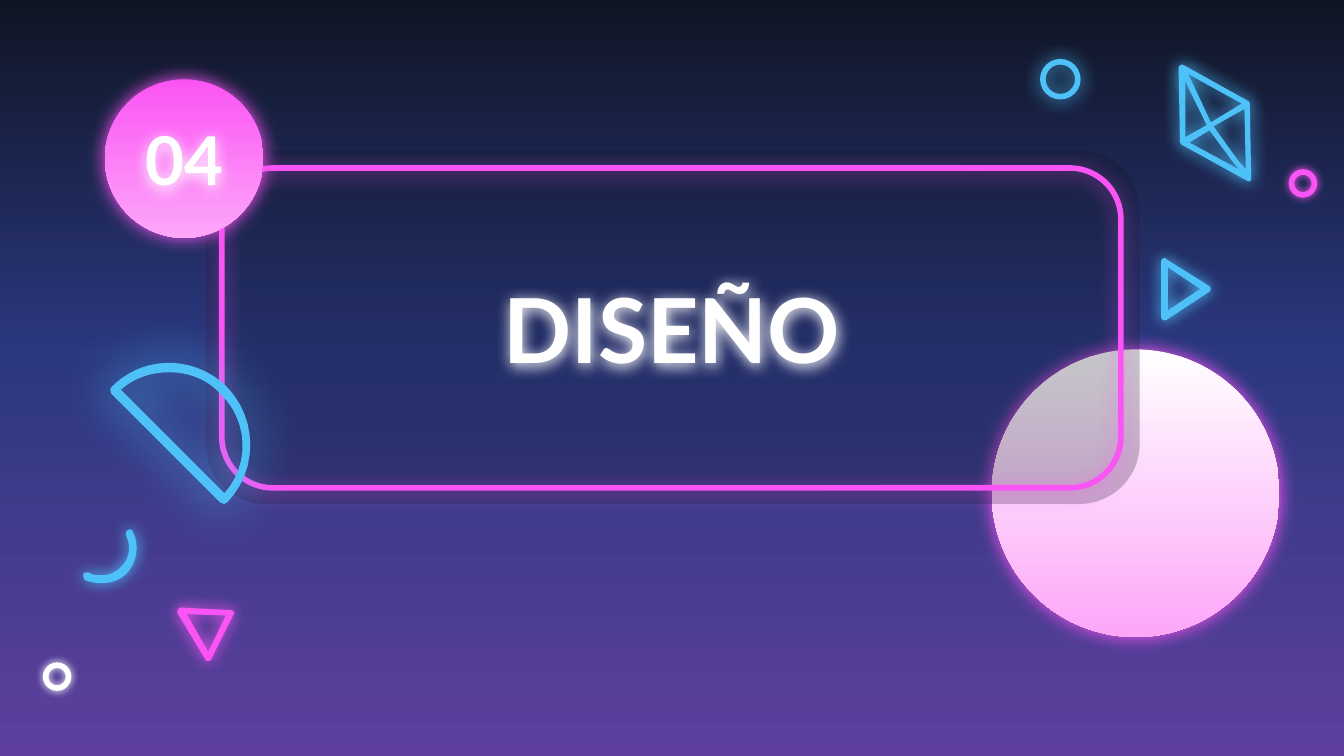
"""Build the neon section slide "04 DISEÑO" on a grid of 1000 columns by 562.5 rows."""
from dataclasses import dataclass
from math import cos, radians, sin

from lxml import etree
from pptx import Presentation
from pptx.dml.color import RGBColor
from pptx.enum.shapes import MSO_SHAPE
from pptx.enum.text import MSO_ANCHOR, PP_ALIGN
from pptx.oxml.ns import qn
from pptx.util import Inches, Pt

ELLIPSE, ROUNDED = MSO_SHAPE.OVAL, MSO_SHAPE.ROUNDED_RECTANGLE
CENTER, MIDDLE = PP_ALIGN.CENTER, MSO_ANCHOR.MIDDLE
COLUMNS, ROWS = 1000, 562.5
CELL = Inches(10) / COLUMNS
CURVE_STEPS = 12
COLORS = {
    "night": "0F1524", "navy": "2B3880", "violet": "5F3F9E",
    "pink": "FB54F4", "blush": "FDA7F9", "sky": "4FC1F9", "white": "FFFFFF",
}

Point = tuple[float, float]
Stops = tuple[tuple[int, str], ...]


@dataclass(frozen=True)
class Glow:
    color: str
    blur: float
    distance: float = 0
    opacity: int = 100


@dataclass(frozen=True)
class Block:
    kind: MSO_SHAPE
    box: tuple[float, float, float, float]
    gradient: Stops = ()
    fill: str = ""
    opacity: int = 100
    line: str = ""
    corner: float = 0
    glow: Glow | None = None


@dataclass(frozen=True)
class Outline:
    """Contours of points (x, y) and cubic curves (two controls and an end)."""
    color: str
    blur: float
    contours: tuple[tuple[tuple[float, ...], ...], ...]
    turn: float = 0


BACKDROP: Stops = ((0, "night"), (47, "navy"), (100, "violet"))
MOON = Block(ELLIPSE, (738, 260, 214, 214), glow=Glow("pink", 10.1),
             gradient=((0, "white"), (100, "blush")))
VEIL = Block(ROUNDED, (153, 112, 695, 263), fill="night", opacity=24, corner=0.17)
FRAME = Block(ROUNDED, (165, 125, 669, 238), line="pink", corner=0.16,
              glow=Glow("pink", 11.2, 1.5, 62))
BADGE = Block(ELLIPSE, (78, 59, 118, 118), glow=Glow("pink", 10.1),
              gradient=((0, "pink"), (100, "blush")))
RINGS = tuple(
    Block(ELLIPSE, (left, top, size, size), line=color, glow=Glow(color, blur))
    for left, top, size, color, blur in (
        (776, 46, 26, "sky", 10.1), (34, 495, 17, "white", 4.5), (961, 128, 17, "pink", 4.5))
)

HALF_DISC = Outline("sky", 27, (
    ((126, 277), (140, 277, 154, 282, 164, 293), (185, 313, 186, 346, 167, 367),
     (90, 290), (100, 281, 113, 277, 126, 277)),
    ((126, 270), (110, 270, 95, 276, 83, 288), (82, 289, 82, 291, 83, 293), (164, 374),
     (165, 374, 166, 375, 167, 375), (167, 375, 168, 374, 169, 374),
     (192, 350, 192, 312, 169, 288), (157, 276, 141, 270, 126, 270)),
))
KITE = Outline("sky", 9, (
    ((884, 55), (924, 77), (901, 91), (888, 63)),
    ((882, 60), (885, 67), (898, 93), (882, 102)),
    ((900, 97), (917, 120), (922, 126), (885, 106)),
    ((926, 81), (927, 126), (921, 119), (903, 94)),
    ((877, 50), (878, 106), (879, 107.5), (928, 134.5), (929.5, 135), (931, 134),
     (931, 133), (930, 77), (929.5, 75.5), (881, 48.5), (879.5, 48), (878, 48.5)),
), turn=328.9)
PLAY = Outline("sky", 7.9, (
    ((869, 199), (893, 215), (869, 231)),
    ((866, 192), (864, 193, 864, 194, 864, 195), (864, 236), (864, 238, 866, 239, 868, 238),
     (900, 217), (901, 216, 901, 214, 900, 213), (868, 193), (867, 192, 867, 192, 866, 192)),
))
ARC = Outline("sky", 7.9, (
    ((97, 394), (94, 394, 93, 397, 94, 399), (98, 407, 96, 416, 90, 422),
     (86, 426, 81, 428, 76, 428), (72, 428, 69, 428, 66, 426), (64, 426, 63, 426, 62, 427),
     (62, 429, 62, 431, 64, 432), (67, 433, 72, 434, 75, 434), (82, 434, 89, 432, 94, 427),
     (102, 419, 104, 406, 99, 396), (99, 395, 98, 394, 97, 394)),
))
TRIANGLE = Outline("pink", 7.9, (
    ((139, 457), (168, 458), (155, 485)),
    ((133, 453), (132, 453, 132, 455, 132, 456), (153, 491), (154, 492, 156, 492, 157, 491),
     (174, 457), (175, 455, 173, 454, 172, 454), (134, 452)),
), turn=329.4)


def color_of(name: str) -> RGBColor:
    return RGBColor.from_string(COLORS[name])


def add_color(parent, name: str, opacity: int = 100) -> None:
    color = etree.SubElement(parent, qn("a:srgbClr"), val=COLORS[name])
    if opacity < 100:
        etree.SubElement(color, qn("a:alpha"), val=str(opacity * 1000))


def paint_gradient(fill, root, stops: Stops) -> None:
    fill.gradient()
    fill.gradient_angle = 270
    stop_list = root.find(".//" + qn("a:gsLst"))
    stop_list.clear()
    for share, name in stops:
        add_color(etree.SubElement(stop_list, qn("a:gs"), pos=str(share * 1000)), name)


def set_glow(shape, glow: Glow | None) -> None:
    shape.shadow.inherit = False
    if glow:
        effects = shape.element.spPr.find(qn("a:effectLst"))
        shade = etree.SubElement(
            effects, qn("a:outerShdw"), blurRad=str(Pt(glow.blur)),
            dist=str(Pt(glow.distance)), dir="5400000", algn="bl", rotWithShape="0")
        add_color(shade, glow.color, glow.opacity)


def draw_block(slide, block: Block) -> None:
    shape = slide.shapes.add_shape(block.kind, *(round(side * CELL) for side in block.box))
    if block.corner:
        shape.adjustments[0] = block.corner
    if block.gradient:
        paint_gradient(shape.fill, shape.element, block.gradient)
    elif block.fill:
        shape.fill.solid()
        shape.fill.fore_color.rgb = color_of(block.fill)
        solid = shape.element.spPr.find(qn("a:solidFill"))
        solid.clear()
        add_color(solid, block.fill, block.opacity)
    else:
        shape.fill.background()
    if block.line:
        shape.line.color.rgb = color_of(block.line)
        shape.line.width = Pt(3)
    else:
        shape.line.fill.background()
    set_glow(shape, block.glow)


def trace(contour: tuple[tuple[float, ...], ...]) -> list[Point]:
    points: list[Point] = []
    for step in contour:
        if len(step) == 2:
            points.append(step)
            continue
        (x0, y0), (x1, y1, x2, y2, x3, y3) = points[-1], step
        for index in range(1, CURVE_STEPS + 1):
            t = index / CURVE_STEPS
            a, b, c, d = (1 - t) ** 3, 3 * t * (1 - t) ** 2, 3 * t * t * (1 - t), t ** 3
            points.append((a * x0 + b * x1 + c * x2 + d * x3, a * y0 + b * y1 + c * y2 + d * y3))
    return points


def turn_back(point: Point, angle: float) -> Point:
    x, y = point
    c, s = cos(radians(angle)), sin(radians(angle))
    return x * c + y * s, y * c - x * s


def draw_outline(slide, outline: Outline) -> None:
    contours = [[turn_back(point, outline.turn) for point in trace(contour)]
                for contour in outline.contours]
    xs, ys = zip(*(point for contour in contours for point in contour))
    middle = (min(xs) + max(xs)) / 2, (min(ys) + max(ys)) / 2
    center = turn_back(middle, -outline.turn)
    shift_x, shift_y = center[0] - middle[0], center[1] - middle[1]
    placed = [[((x + shift_x) * CELL, (y + shift_y) * CELL) for x, y in contour]
              for contour in contours]
    builder = slide.shapes.build_freeform(*placed[0][0])
    for index, (start, *rest) in enumerate(placed):
        if index:
            builder.move_to(*start)
        builder.add_line_segments(rest, close=True)
    shape = builder.convert_to_shape()
    shape.rotation = outline.turn
    shape.fill.solid()
    shape.fill.fore_color.rgb = color_of(outline.color)
    shape.line.fill.background()
    set_glow(shape, Glow(outline.color, outline.blur))


def write(slide, text: str, *, box: tuple[float, float, float, float], size: int) -> None:
    label = slide.shapes.add_textbox(*(round(side * CELL) for side in box))
    frame = label.text_frame
    frame.word_wrap, frame.vertical_anchor = True, MIDDLE
    frame.margin_left = frame.margin_right = frame.margin_top = frame.margin_bottom = Inches(0.1)
    paragraph = frame.paragraphs[0]
    paragraph.text, paragraph.alignment = text, CENTER
    font = paragraph.runs[0].font
    font.name, font.size, font.bold = "Lato", Pt(size), True
    font.color.rgb = color_of("white")
    set_glow(label, Glow("white", 7.9, 1.5))


def main() -> None:
    deck = Presentation()
    deck.slide_width, deck.slide_height = round(COLUMNS * CELL), round(ROWS * CELL)
    slide = deck.slides.add_slide(deck.slide_layouts[6])
    paint_gradient(slide.background.fill, slide.element, BACKDROP)
    for block in (MOON, VEIL, FRAME):
        draw_block(slide, block)
    write(slide, "DISEÑO", box=(198, 152, 604, 183), size=48)
    draw_block(slide, BADGE)
    write(slide, "04", box=(77, 83, 120, 70), size=36)
    for outline in (HALF_DISC, KITE, PLAY, ARC, TRIANGLE):
        draw_outline(slide, outline)
    for ring in RINGS:
        draw_block(slide, ring)
    deck.save("out.pptx")


if __name__ == "__main__":
    main()
